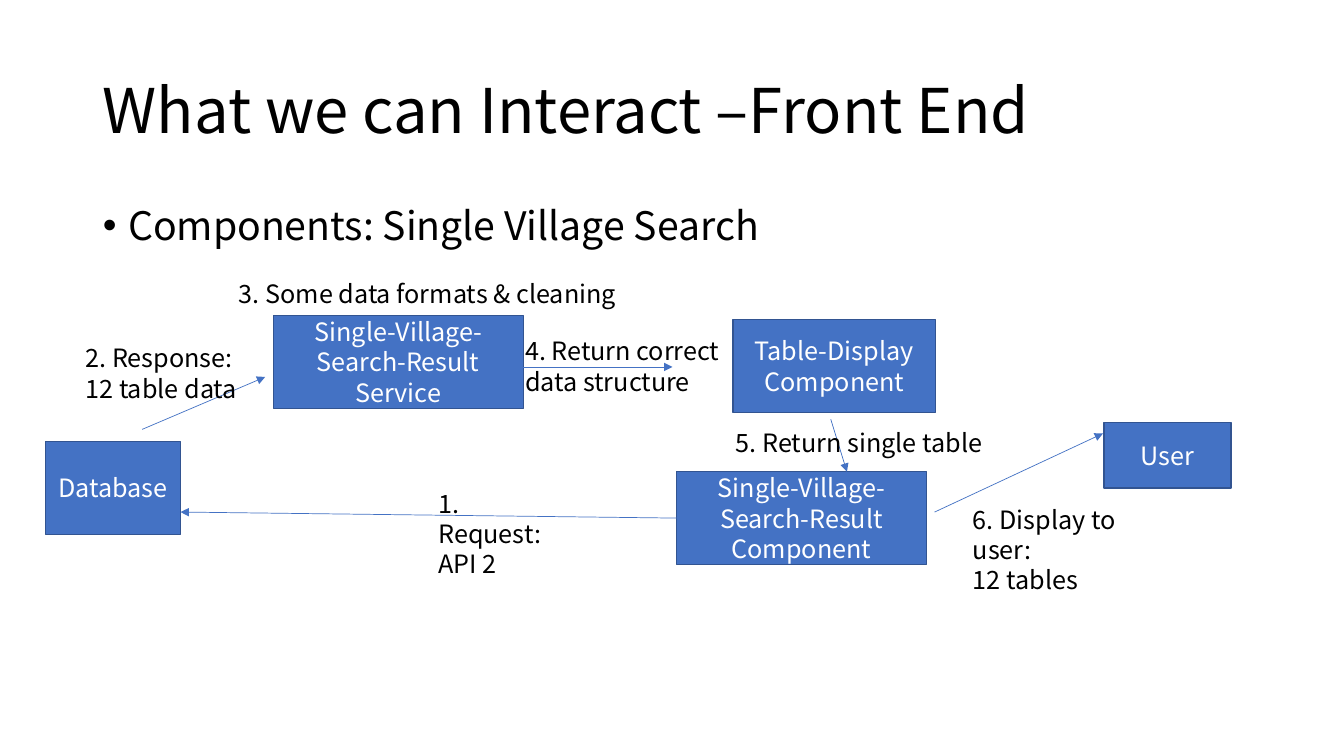
from pptx import Presentation
from pptx.dml.color import RGBColor
from pptx.enum.shapes import MSO_CONNECTOR, MSO_SHAPE
from pptx.enum.text import MSO_ANCHOR, MSO_AUTO_SIZE, PP_ALIGN
from pptx.oxml.ns import qn
from pptx.util import Inches, Pt
from lxml import etree

FONT = "Noto Sans CJK SC"
COLORS = {name: RGBColor.from_string(value) for name, value in {
    "fill": "4472C4", "outline": "325491", "text": "000000", "box_text": "FFFFFF",
}.items()}


def write(frame, text, size, color, align=PP_ALIGN.LEFT):
    """Fill a text frame, one paragraph per line of text."""
    frame.word_wrap = True
    frame.text = text
    for para in frame.paragraphs:
        para.alignment = align
        para.font.name = FONT
        para.font.size = Pt(size)
        para.font.color.rgb = COLORS[color]


deck = Presentation()
deck.slide_width, deck.slide_height = Inches(13.33), Inches(7.5)
page = deck.slides.add_slide(deck.slide_layouts.get_by_name("Title and Content"))

# Title and bullet
title, body = page.shapes.title, page.placeholders[1]
for holder, text, size, top, height, anchor in [
    (title, "What we can Interact –Front End", 44, 0.4, 1.45, MSO_ANCHOR.MIDDLE),
    (body, "Components: Single Village Search", 28, 2, 4.76, MSO_ANCHOR.TOP),
]:
    holder.left, holder.top = Inches(0.92), Inches(top)
    holder.width, holder.height = Inches(11.5), Inches(height)
    write(holder.text_frame, text, size, "text")
    holder.text_frame.auto_size = MSO_AUTO_SIZE.NONE
    holder.text_frame.vertical_anchor = anchor
    holder.text_frame.paragraphs[0].line_spacing = 0.9

bullet = body.text_frame.paragraphs[0]
bullet.space_before = Pt(10)
bullet_props = bullet._p.get_or_add_pPr()
bullet_props.set("marL", str(Inches(0.25)))
bullet_props.set("indent", str(Inches(-0.25)))

# Components
boxes = {}
for text, left, top, width, height in [
    ("Single-Village-Search-Result Service", 2.71, 3.13, 2.48, 0.92),
    ("Database", 0.45, 4.38, 1.34, 0.92),
    ("Single-Village-Search-Result Component", 6.71, 4.68, 2.48, 0.92),
    ("User", 10.95, 4.19, 1.26, 0.65),
    ("Table-Display Component", 7.27, 3.17, 2.01, 0.92),
]:
    box = page.shapes.add_shape(
        MSO_SHAPE.RECTANGLE, Inches(left), Inches(top), Inches(width), Inches(height))
    box.shadow.inherit = False
    box.fill.solid()
    box.fill.fore_color.rgb = COLORS["fill"]
    box.line.color.rgb = COLORS["outline"]
    box.line.width = Pt(1)
    box.text_frame.vertical_anchor = MSO_ANCHOR.MIDDLE
    write(box.text_frame, text, 18, "box_text", PP_ALIGN.CENTER)
    boxes[text] = box

# Arrows, in the order of the steps
arrows = []
for start_x, start_y, end_x, end_y in [
    (6.71, 5.14, 1.79, 5.08),
    (1.41, 4.26, 2.63, 3.74),
    (5.12, 3.64, 6.67, 3.64),
    (8.24, 4.16, 8.4, 4.68),
    (9.27, 5.08, 10.94, 4.3),
]:
    arrow = page.shapes.add_connector(
        MSO_CONNECTOR.STRAIGHT,
        Inches(start_x), Inches(start_y), Inches(end_x), Inches(end_y))
    arrow.line.color.rgb = COLORS["fill"]
    arrow.line.width = Pt(0.5)
    etree.SubElement(arrow.line._get_or_add_ln(), qn("a:tailEnd"), type="triangle")
    etree.SubElement(arrow._element.spPr, qn("a:effectLst"))
    arrows.append(arrow)
arrows[0].begin_connect(boxes["Single-Village-Search-Result Component"], 1)

# Step labels
for text, left, top, width, height in [
    ("1. Request: API 2", 4.25, 4.79, 1.44, 0.71),
    ("2. Response:\n12 table data", 0.75, 3.35, 1.84, 0.71),
    ("3. Some data formats & cleaning", 2.27, 2.71, 3.99, 0.4),
    ("4. Return correct data structure", 5.11, 3.28, 2.24, 0.71),
    ("5. Return single table", 7.2, 4.19, 2.76, 0.4),
    ("6. Display to user:\n12 tables", 9.55, 4.95, 2.08, 0.71),
]:
    label = page.shapes.add_textbox(
        Inches(left), Inches(top), Inches(width), Inches(height))
    write(label.text_frame, text, 18, "text")
    label.text_frame.auto_size = MSO_AUTO_SIZE.SHAPE_TO_FIT_TEXT

deck.save("out.pptx")
